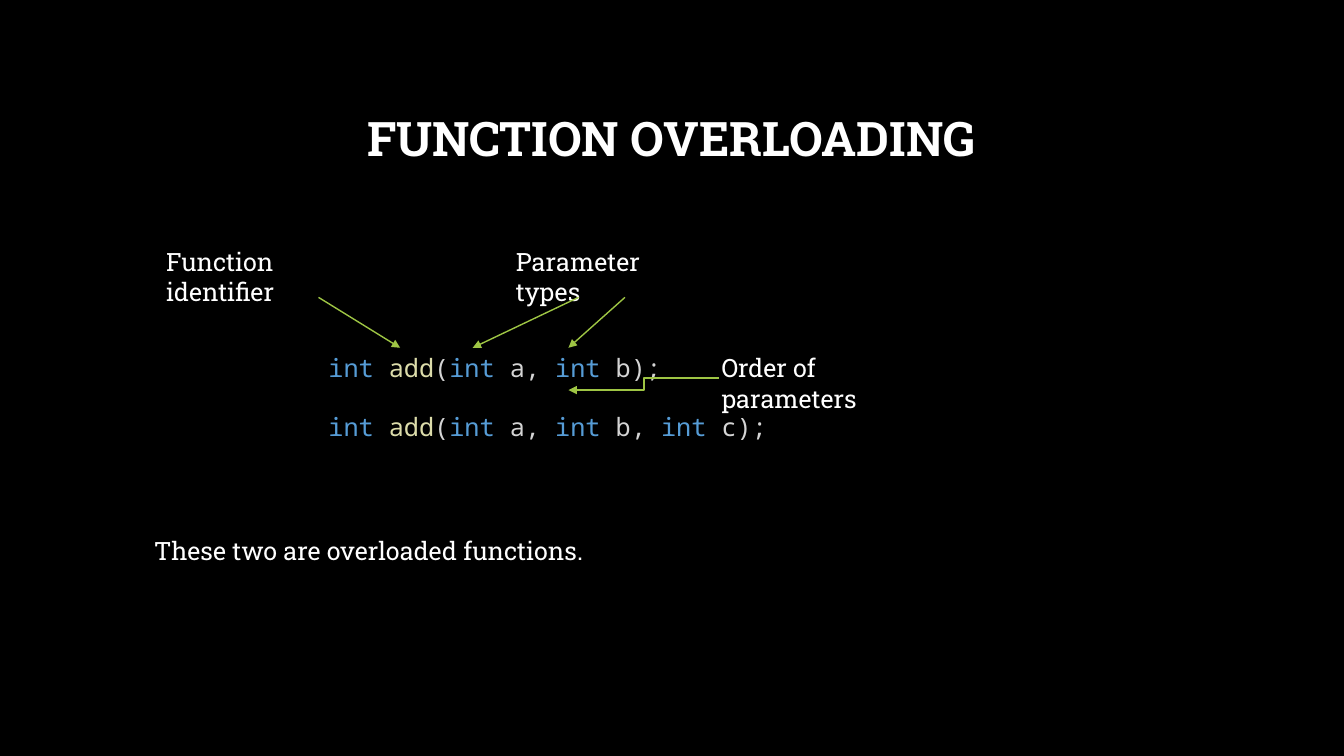
import lxml.etree
import pptx
import pptx.dml.color
import pptx.enum.shapes
import pptx.enum.text
import pptx.oxml.ns
import pptx.util

Pt = pptx.util.Pt
RGBColor = pptx.dml.color.RGBColor
ALIGN = pptx.enum.text.PP_ALIGN
ANCHOR = pptx.enum.text.MSO_ANCHOR
CONNECTOR = pptx.enum.shapes.MSO_CONNECTOR

BLACK = RGBColor(0x00, 0x00, 0x00)
WHITE = RGBColor(0xFF, 0xFF, 0xFF)
GREEN = RGBColor(0x9E, 0xC5, 0x44)
KEYWORD = RGBColor(0x56, 0x9C, 0xD6)
IDENTIFIER = RGBColor(0xDC, 0xDC, 0xAA)
PUNCTUATION = RGBColor(0xD4, 0xD4, 0xD4)

TITLE = ("FUNCTION OVERLOADING", (72, 48.24, 815.04, 104.4))
LABELS = [
    ("Function identifier", (111.6, 172.08, 159.12, 28.8)),
    ("Parameter types", (361.44, 172.08, 137.52, 28.8)),
    ("Order of parameters", (508.32, 248.4, 174.96, 28.8)),
    ("These two are overloaded functions.", (102.96, 378.72, 709.92, 28.8)),
]
SIGNATURE_START = [("int ", KEYWORD), ("add", IDENTIFIER), ("(", PUNCTUATION),
                   ("int", KEYWORD), (" a, ", PUNCTUATION), ("int", KEYWORD)]
SIGNATURES = [
    SIGNATURE_START + [(" b);", PUNCTUATION)],
    SIGNATURE_START + [(" b, ", PUNCTUATION), ("int", KEYWORD), (" c);", PUNCTUATION)],
]
SIGNATURE_BOX = (227.52, 248.4, 480.24, 72.72)
ARROWS = [
    (CONNECTOR.STRAIGHT, (227.52, 212.4, 285.84, 248.4)),
    (CONNECTOR.STRAIGHT, (413.28, 212.4, 337.68, 248.4)),
    (CONNECTOR.STRAIGHT, (446.4, 212.4, 406.08, 248.4)),
    (CONNECTOR.ELBOW, (513.72, 270, 406.08, 278.64)),
]


def add_text(slide, text, box, font="Roboto Slab", size=18, color=WHITE, bold=False,
             align=ALIGN.LEFT, anchor=ANCHOR.TOP, line_spacing=None, gap=0):
    shape = slide.shapes.add_textbox(*map(Pt, box))
    frame = shape.text_frame
    frame.word_wrap = True
    frame.vertical_anchor = anchor
    lines = [[(text, color)]] if isinstance(text, str) else text
    for index, line in enumerate(lines):
        paragraph = frame.add_paragraph() if index else frame.paragraphs[0]
        paragraph.alignment = align
        if line_spacing:
            paragraph.line_spacing = line_spacing
        if index:
            paragraph.space_before = Pt(gap)
        for words, run_color in line:
            run = paragraph.add_run()
            run.text = words
            run.font.name = font
            run.font.size = Pt(size)
            run.font.bold = bold
            run.font.color.rgb = run_color
    return shape


def add_arrow(slide, kind, ends):
    qualify = pptx.oxml.ns.qn
    connector = slide.shapes.add_connector(kind, *map(Pt, ends))
    connector.line.color.rgb = GREEN
    connector.line.width = Pt(1)
    properties = connector.element.find(qualify("p:spPr"))
    line = properties.find(qualify("a:ln"))
    lxml.etree.SubElement(line, qualify("a:tailEnd"), type="triangle")
    lxml.etree.SubElement(properties, qualify("a:effectLst"))


def main():
    presentation = pptx.Presentation()
    presentation.slide_width = Pt(960)
    presentation.slide_height = Pt(540)
    slide = presentation.slides.add_slide(presentation.slide_layouts[6])
    slide.background.fill.solid()
    slide.background.fill.fore_color.rgb = BLACK

    add_text(slide, *TITLE, size=34, bold=True, align=ALIGN.CENTER,
             anchor=ANCHOR.MIDDLE, line_spacing=0.9)
    add_text(slide, SIGNATURES, SIGNATURE_BOX, font="Noto Sans Mono", gap=20)
    for text, box in LABELS:
        add_text(slide, text, box)
    for kind, ends in ARROWS:
        add_arrow(slide, kind, ends)

    presentation.save("out.pptx")


if __name__ == "__main__":
    main()
